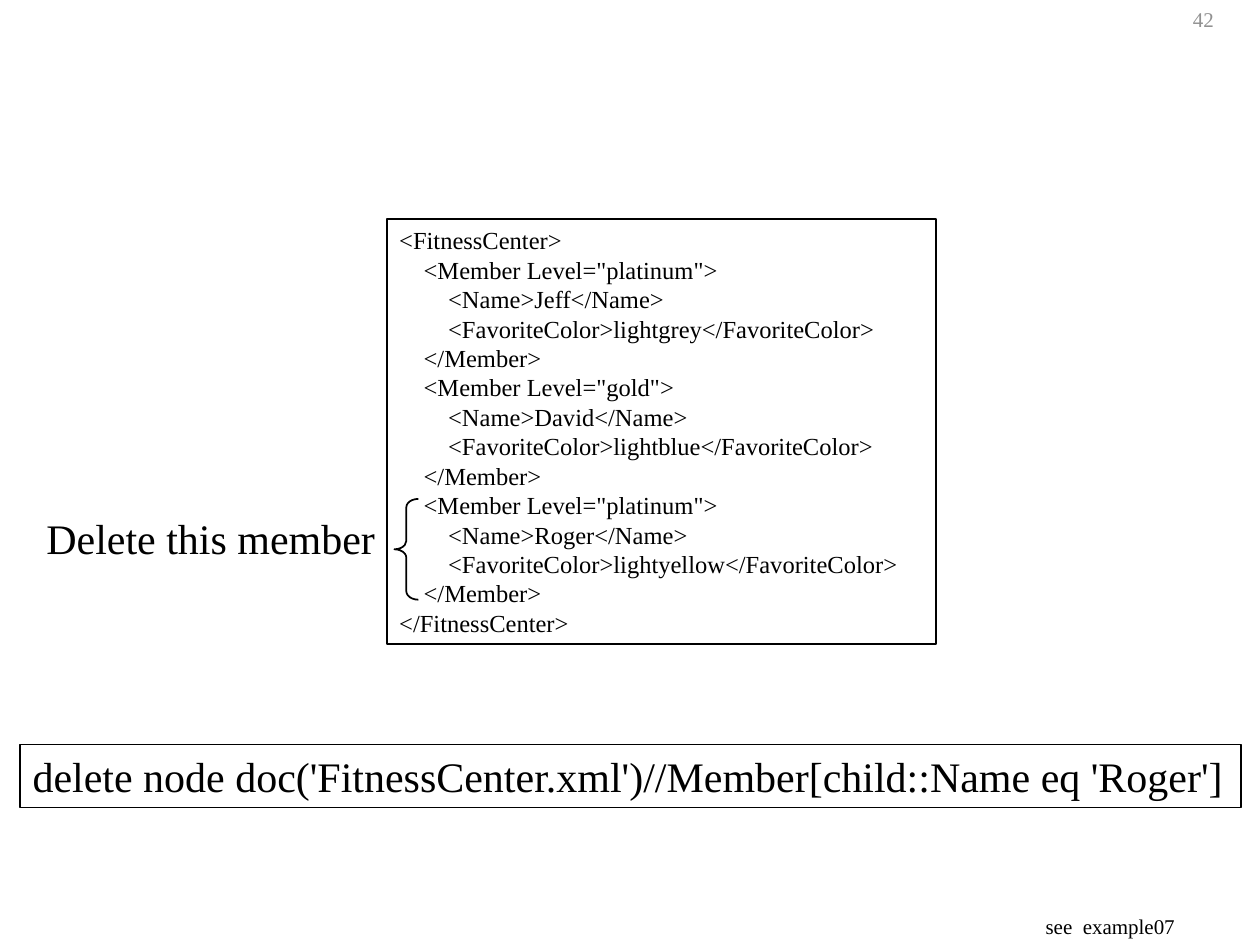
from pptx import Presentation
from pptx.dml.color import RGBColor
from pptx.enum import shapes, text
from pptx.util import Inches, Pt

FONT = "Times New Roman"
MEMBERS = [("platinum", "Jeff", "lightgrey"),
           ("gold", "David", "lightblue"),
           ("platinum", "Roger", "lightyellow")]


def color(hex_code):
    return RGBColor.from_string(hex_code)


def member_lines(level, name, favorite):
    return [f'    <Member Level="{level}">',
            f"        <Name>{name}</Name>",
            f"        <FavoriteColor>{favorite}</FavoriteColor>",
            "    </Member>"]


def outline(sp):
    sp.shadow.inherit = False
    sp.line.color.rgb = color("000000")
    sp.line.width = Pt(1)


def add_lines(sp, lines, size, hex_code="000000"):
    tf = sp.text_frame
    tf.word_wrap = True
    tf.vertical_anchor = text.MSO_ANCHOR.TOP
    for i, line in enumerate(lines):
        p = tf.add_paragraph() if i else tf.paragraphs[0]
        p.alignment = text.PP_ALIGN.LEFT
        r = p.add_run()
        r.text = line
        r.font.name = FONT
        r.font.size = Pt(size)
        r.font.color.rgb = color(hex_code)


def add_label(s, box, label, size, hex_code="000000"):
    sp = s.shapes.add_textbox(*map(Inches, box))
    add_lines(sp, [label], size, hex_code)


def add_code_box(s, box, lines, size):
    sp = s.shapes.add_shape(shapes.MSO_SHAPE.RECTANGLE, *map(Inches, box))
    sp.fill.solid()
    sp.fill.fore_color.rgb = color("FFFFFF")
    outline(sp)
    add_lines(sp, lines, size)


def add_brace(s, box):
    sp = s.shapes.add_shape(shapes.MSO_SHAPE.LEFT_BRACE, *map(Inches, box))
    sp.adjustments[0] = 0.35
    sp.fill.background()
    outline(sp)


def main():
    prs = Presentation()
    prs.slide_width, prs.slide_height = Inches(10), Inches(7.5)
    s = prs.slides.add_slide(prs.slide_layouts[6])

    document = ["<FitnessCenter>"]
    for member in MEMBERS:
        document += member_lines(*member)
    document.append("</FitnessCenter>")

    add_label(s, (9.37, 0, 0.9, 0.3), "42", 12, "919191")
    add_code_box(s, (3.07, 1.74, 4.36, 3.37), document, 14)
    add_label(s, (0.27, 4.02, 2.9, 0.5), "Delete this member", 24)
    add_code_box(s, (0.16, 5.91, 9.69, 0.5),
                 ["delete node doc('FitnessCenter.xml')//Member[child::Name eq 'Roger']"], 24)
    add_label(s, (8.2, 7.2, 1.32, 0.3), "see  example07", 12)
    add_brace(s, (3.13, 3.96, 0.19, 0.8))
    prs.save("out.pptx")


if __name__ == "__main__":
    main()
